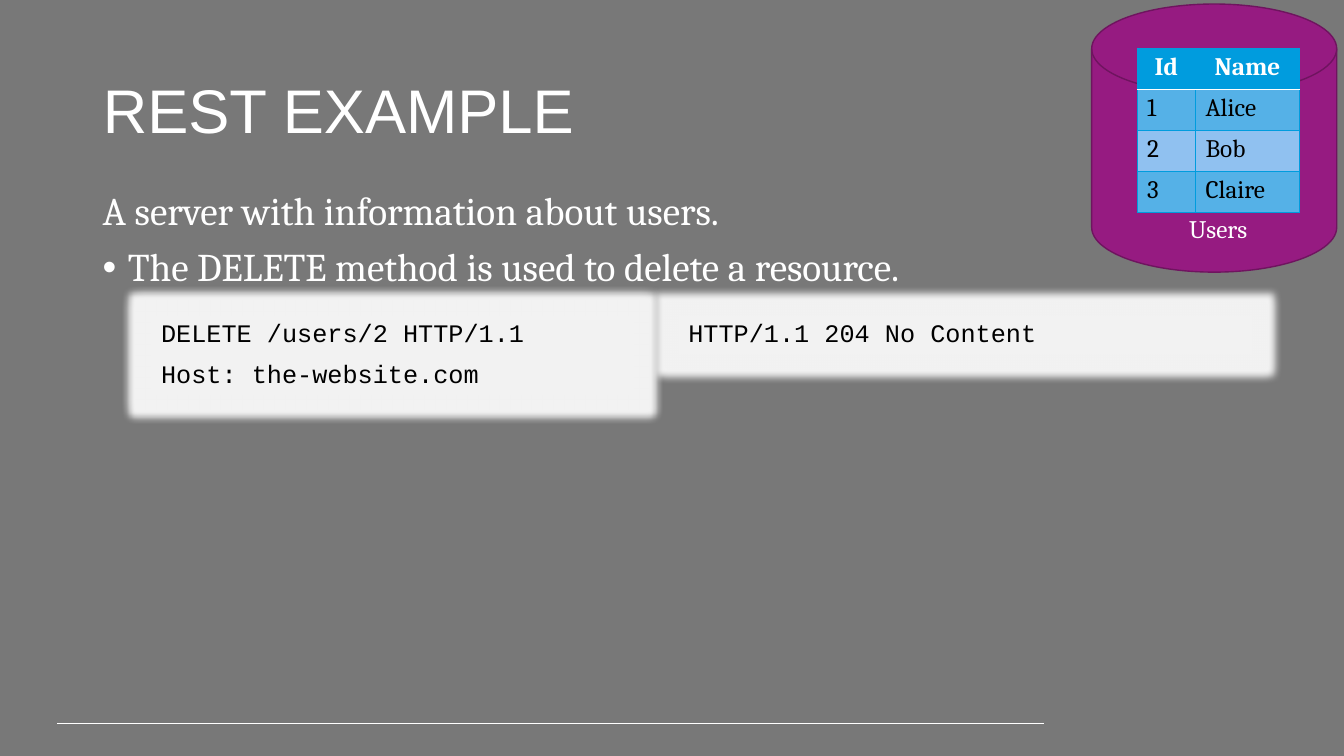
import pptx
import pptx.util
import pptx.dml.color
import pptx.enum.shapes
import pptx.enum.text
import pptx.oxml
import pptx.oxml.ns
import lxml.etree
from dataclasses import dataclass

Pt = pptx.util.Pt
qn = pptx.oxml.ns.qn
Align = pptx.enum.text.PP_ALIGN
Anchor = pptx.enum.text.MSO_ANCHOR
Shape = pptx.enum.shapes.MSO_SHAPE


@dataclass(frozen=True)
class Theme:
    background: str = "787878"
    light: str = "FFFFFF"
    dark: str = "000000"
    code_fill: str = "F2F2F2"
    database_fill: str = "961B81"
    database_line: str = "6F145F"
    accent: str = "009CDE"
    odd_row: str = "55B1E7"
    even_row: str = "90C1F0"
    title_font: str = "Arial"
    body_font: str = "Cambria"
    code_font: str = "Courier New"
    title_size: int = 44
    body_size: int = 28
    small_size: int = 18
    glow_radius: int = 11


THEME = Theme()


def rgb(value):
    return pptx.dml.color.RGBColor.from_string(value)


def add_child(parent, tag, **attributes):
    child = lxml.etree.SubElement(parent, qn(tag))
    for name, value in attributes.items():
        child.set(name, str(value))
    return child


def write(frame, text, size=THEME.small_size, font=THEME.body_font, color=THEME.light,
          bold=False, align=Align.LEFT, anchor=Anchor.TOP, line=1.0, before=0, bullets=()):
    """Fill a text frame, one paragraph per line of text."""
    frame.word_wrap = True
    frame.vertical_anchor = anchor
    for index, content in enumerate(text.split("\n")):
        paragraph = frame.paragraphs[0] if index == 0 else frame.add_paragraph()
        paragraph.alignment = align
        paragraph.line_spacing = line
        paragraph.space_before = Pt(before)
        run = paragraph.add_run()
        run.text = content
        run.font.size, run.font.name, run.font.bold = Pt(size), font, bold
        run.font.color.rgb = rgb(color)
        if index in bullets:
            properties = paragraph._p.get_or_add_pPr()
            properties.set("marL", str(Pt(18)))
            properties.set("indent", str(-Pt(18)))
            add_child(properties, "a:buFont", typeface="Arial")
            add_child(properties, "a:buChar", char="•")


class SlideBuilder:
    def __init__(self, presentation, theme):
        self.theme = theme
        self.slide = presentation.slides.add_slide(presentation.slide_layouts[5])
        fill = self.slide.background.fill
        fill.solid()
        fill.fore_color.rgb = rgb(theme.background)

    def title(self, text, left, top, width, height):
        shape = self.slide.shapes.title
        shape.left, shape.top, shape.width, shape.height = map(Pt, (left, top, width, height))
        write(shape.text_frame, text, size=self.theme.title_size, font=self.theme.title_font,
              anchor=Anchor.MIDDLE, line=0.9)

    def text(self, text, left, top, width, height, **style):
        box = self.slide.shapes.add_textbox(*map(Pt, (left, top, width, height)))
        write(box.text_frame, text, **style)

    def rule(self, left, top, right):
        line = self.slide.shapes.add_connector(
            pptx.enum.shapes.MSO_CONNECTOR.STRAIGHT, *map(Pt, (left, top, right, top)))
        line.line.color.rgb = rgb(self.theme.light)
        line.line.width = Pt(0.75)
        add_child(line._element.spPr, "a:effectLst")

    def shape(self, kind, fill, left, top, width, height, outline=None):
        shape = self.slide.shapes.add_shape(kind, *map(Pt, (left, top, width, height)))
        shape.shadow.inherit = False
        shape.fill.solid()
        shape.fill.fore_color.rgb = rgb(fill)
        if outline:
            shape.line.color.rgb = rgb(outline)
            shape.line.width = Pt(1)
        else:
            shape.line.fill.background()
        return shape

    def code(self, text, left, top, width, height):
        """A code panel softened by a glow of its own colour."""
        panel = self.shape(Shape.RECTANGLE, self.theme.code_fill, left, top, width, height)
        effects = panel._element.spPr.find(qn("a:effectLst"))
        glow = add_child(effects, "a:glow", rad=Pt(self.theme.glow_radius))
        add_child(glow, "a:srgbClr", val=self.theme.code_fill)
        write(panel.text_frame, text, font=self.theme.code_font, color=self.theme.dark,
              line=0.9, before=10)

    def border(self, cell, side, color, width):
        line = add_child(cell._tc.get_or_add_tcPr(), "a:ln" + side, w=Pt(width))
        add_child(add_child(line, "a:solidFill"), "a:srgbClr", val=color)

    def table(self, rows, left, top, widths, row_height):
        theme = self.theme
        frame = self.slide.shapes.add_table(
            len(rows), len(widths),
            *map(Pt, (left, top, sum(widths), row_height * len(rows))))
        table = frame.table
        for column, width in zip(table.columns, widths):
            column.width = Pt(width)
        for row_index, values in enumerate(rows):
            header = row_index == 0
            table.rows[row_index].height = Pt(row_height)
            row_fill = theme.odd_row if row_index % 2 else theme.even_row
            for column_index, value in enumerate(values):
                cell = table.cell(row_index, column_index)
                for side in "LRTB":
                    divider = (side, row_index) in (("B", 0), ("T", 1))
                    self.border(cell, side, theme.light if divider else theme.accent,
                                1 if divider else 0.5)
                cell.fill.solid()
                cell.fill.fore_color.rgb = rgb(theme.accent if header else row_fill)
                write(cell.text_frame, value, bold=header,
                      color=theme.light if header else theme.dark,
                      align=Align.CENTER if header else Align.LEFT)


presentation = pptx.Presentation()
presentation.slide_width, presentation.slide_height = Pt(960), Pt(540)
builder = SlideBuilder(presentation, THEME)

# Footer rule, title and explanation
builder.rule(41, 517, 746)
builder.title("REST EXAMPLE", 66.24, 28.8, 828, 104.4)

# Request and response
builder.code("DELETE /users/2 HTTP/1.1\nHost: the-website.com", 108, 225.4, 344.9, 56.9)
builder.code("HTTP/1.1 204 No Content", 484.6, 225.4, 409.7, 27.4)

# Explanation, in front of the panels' soft edges
builder.text("A server with information about users.\n"
             "The DELETE method is used to delete a resource.",
             66.24, 133.2, 857.5, 78.5, size=THEME.body_size, line=0.9, before=10, bullets=(1,))

# Users database
builder.shape(Shape.FLOWCHART_MAGNETIC_DISK, THEME.database_fill, 779.8, 2.9, 175, 191.5,
              outline=THEME.database_line)
builder.table([("Id", "Name"), ("1", "Alice"), ("2", "Bob"), ("3", "Claire")],
              812.2, 34.4, (41.8, 74.2), 29.3)
builder.text("Users", 826.6, 149, 87.1, 28.8, align=Align.CENTER)

presentation.save("out.pptx")
